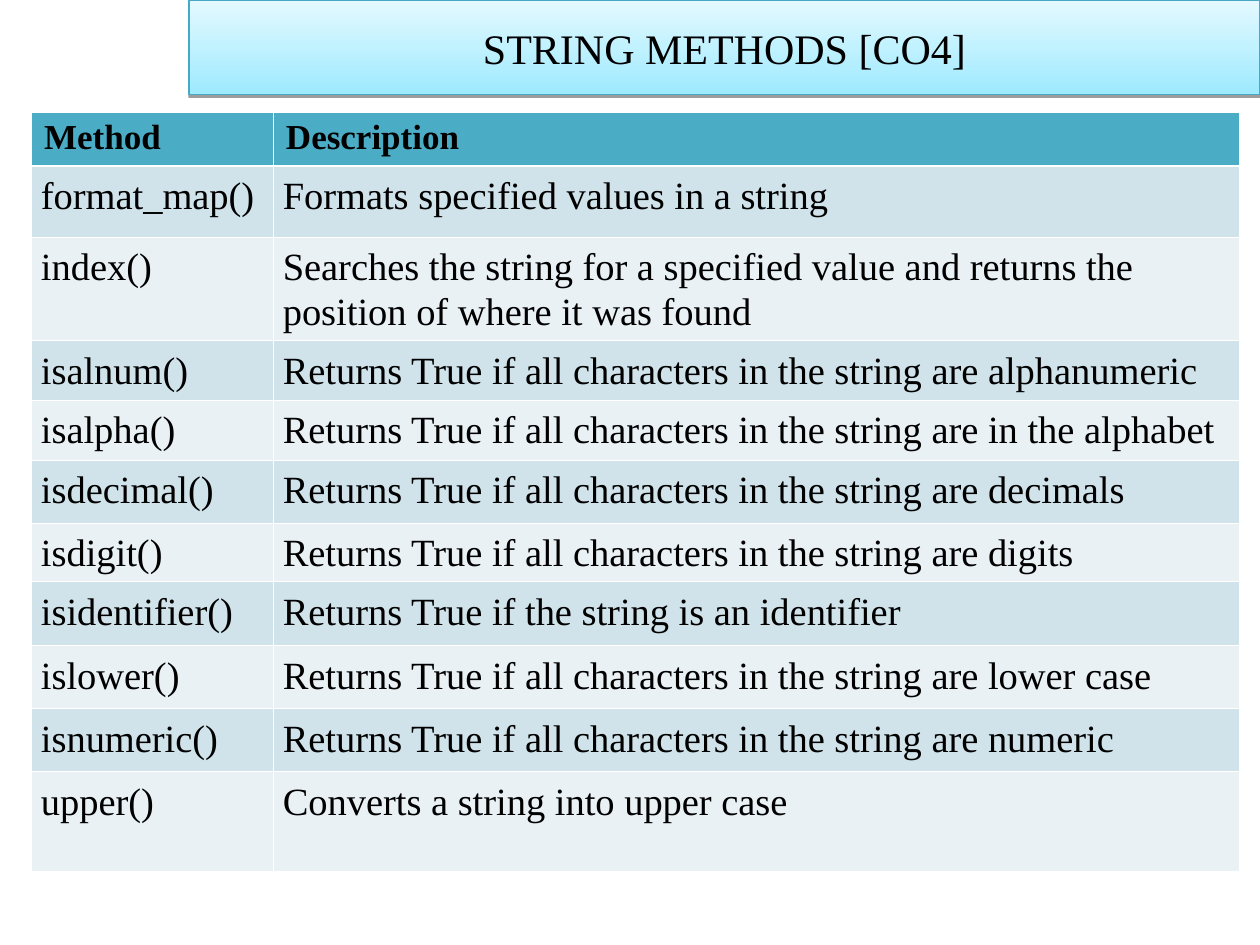
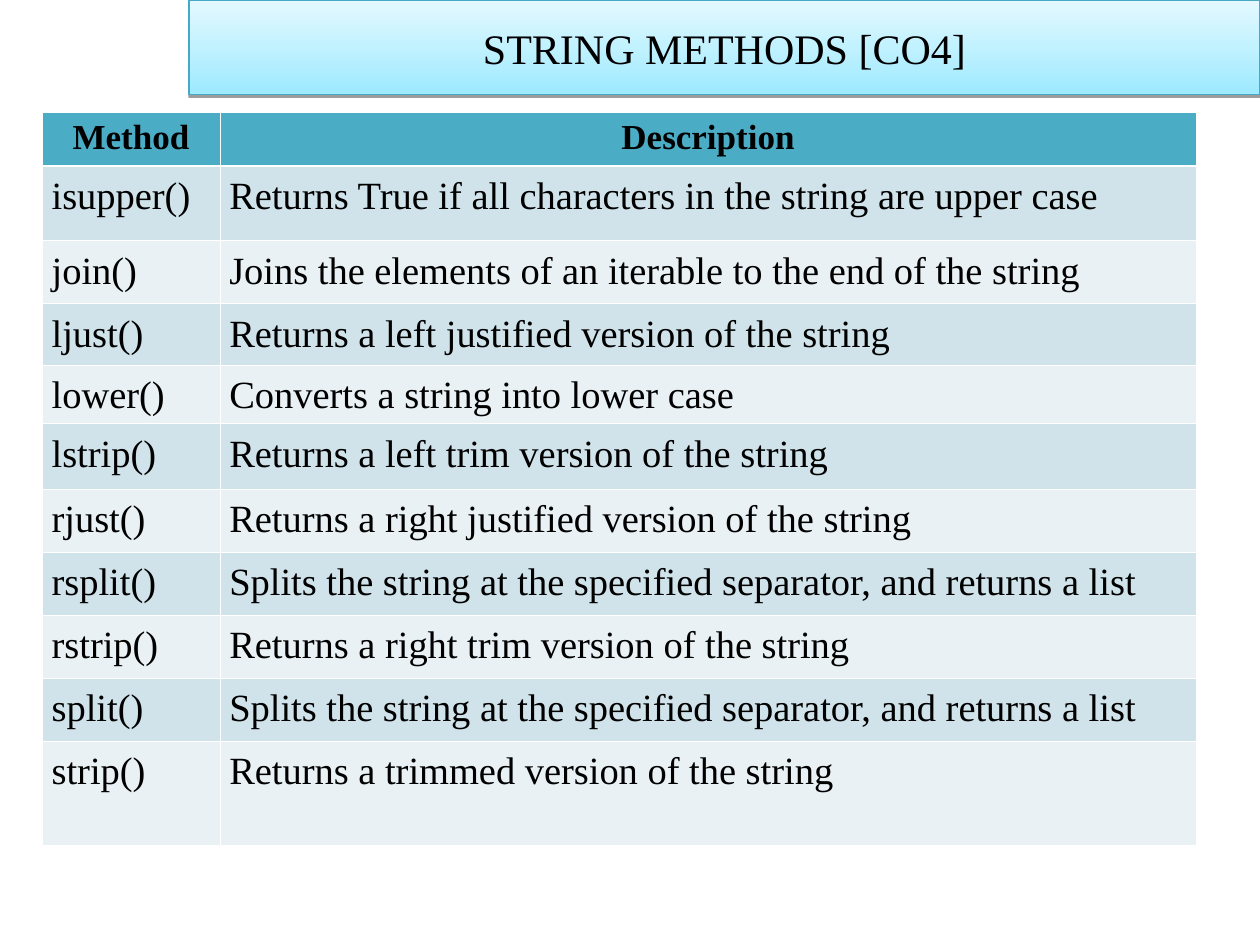
from dataclasses import dataclass

from lxml import etree
from pptx import Presentation, util as u
from pptx.dml.color import RGBColor
from pptx.enum import shapes, text
from pptx.oxml import ns

GRID_COLUMNS, GRID_ROWS = 100, 75
SLIDE_WIDTH, SLIDE_HEIGHT = u.Inches(10), u.Inches(7.5)
FONT = "Times New Roman"
BLACK, WHITE = "000000", "FFFFFF"
HEADER_FILL = "4BACC6"
BAND_FILLS = "E9F1F5", "D0E3EA"
BANNER_LINE, BANNER_BOTTOM, BANNER_TOP = "46AAC5", "9EEAFF", "E4F9FF"
THIN, THICK = 0.45, 1.47
TITLE = "STRING METHODS [CO4]"
HEADINGS = "Method", "Description"
TABLE_TOP = 8.9
HEADER_HEIGHT = 4.3


@dataclass(frozen=True)
class Method:
    name: str
    description: str
    height: float


@dataclass(frozen=True)
class MethodTable:
    left: float
    columns: tuple[float, float]
    heading_align: text.PP_ALIGN
    methods: tuple[Method, ...]


ALL_CHARACTERS = "Returns True if all characters in the string are "
SPLITS = "Splits the string at the specified separator, and returns a list"

TABLES = (
    MethodTable(2.5, (19.2, 76.7), text.PP_ALIGN.LEFT, (
        Method("format_map()", "Formats specified values in a string", 5.6),
        Method("index()", "Searches the string for a specified value and returns "
               "the position of where it was found", 7.8),
        Method("isalnum()", ALL_CHARACTERS + "alphanumeric", 4.7),
        Method("isalpha()", ALL_CHARACTERS + "in the alphabet", 4.8),
        Method("isdecimal()", ALL_CHARACTERS + "decimals", 5),
        Method("isdigit()", ALL_CHARACTERS + "digits", 4.6),
        Method("isidentifier()", "Returns True if the string is an identifier", 5.1),
        Method("islower()", ALL_CHARACTERS + "lower case", 5),
        Method("isnumeric()", ALL_CHARACTERS + "numeric", 5),
        Method("upper()", "Converts a string into upper case", 7.9),
    )),
    MethodTable(3.35, (14.1, 77.5), text.PP_ALIGN.CENTER, (
        Method("isupper()", ALL_CHARACTERS + "upper case", 5.9),
        Method("join()", "Joins the elements of an iterable to the end of the string", 5),
        Method("ljust()", "Returns a left justified version of the string", 4.9),
        Method("lower()", "Converts a string into lower case", 4),
        Method("lstrip()", "Returns a left trim version of the string", 5.2),
        Method("rjust()", "Returns a right justified version of the string", 5),
        Method("rsplit()", SPLITS, 5),
        Method("rstrip()", "Returns a right trim version of the string", 5),
        Method("split()", SPLITS, 5),
        Method("strip()", "Returns a trimmed version of the string", 8.3),
    )),
)


def across(columns: float) -> int:
    return round(SLIDE_WIDTH * columns / GRID_COLUMNS)


def down(rows: float) -> int:
    return round(SLIDE_HEIGHT * rows / GRID_ROWS)


def color(value: str) -> RGBColor:
    return RGBColor.from_string(value)


def add_element(parent, tag: str, **attributes):
    return etree.SubElement(parent, ns.qn(tag), attributes)


def write(paragraph, words: str, size: float, align, bold: bool = False) -> None:
    paragraph.alignment = align
    run = paragraph.add_run()
    run.text = words
    run.font.name = FONT
    run.font.size = u.Pt(size)
    run.font.bold = bold
    run.font.color.rgb = color(BLACK)


def add_banner(slide) -> None:
    banner = slide.shapes.add_shape(shapes.MSO_SHAPE.RECTANGLE, across(15), 0,
                                    across(85), down(7.5))
    banner.fill.gradient()
    banner.fill.gradient_angle = 90
    for stop, shade in zip(banner.fill.gradient_stops, (BANNER_BOTTOM, BANNER_TOP)):
        stop.color.rgb = color(shade)
    banner.line.color.rgb = color(BANNER_LINE)
    banner.line.width = u.Pt(0.75)
    banner.shadow.inherit = False
    effects = banner._element.spPr.find(ns.qn("a:effectLst"))
    shadow = add_element(effects, "a:outerShdw", blurRad="0", dist=str(u.Pt(1.6)),
                         dir="5400000", rotWithShape="0")
    shade = add_element(shadow, "a:srgbClr", val=BLACK)
    add_element(shade, "a:alpha", val="38000")
    banner.text_frame.word_wrap = True
    banner.text_frame.vertical_anchor = text.MSO_ANCHOR.MIDDLE
    write(banner.text_frame.paragraphs[0], TITLE, 24, text.PP_ALIGN.CENTER)


def add_borders(cell, top: float, bottom: float) -> None:
    properties = cell._tc.get_or_add_tcPr()
    for side, width in zip("LRTB", (THIN, THIN, top, bottom)):
        border = add_element(properties, f"a:ln{side}", w=str(u.Pt(width)))
        add_element(add_element(border, "a:solidFill"), "a:srgbClr", val=WHITE)


def fill_cell(cell, words: str, row: int, heading_align) -> None:
    heading = row == 0
    add_borders(cell, THICK if row == 1 else THIN, THICK if heading else THIN)
    cell.fill.solid()
    cell.fill.fore_color.rgb = color(HEADER_FILL if heading else BAND_FILLS[row % 2])
    cell.margin_left = cell.margin_right = across(1 if heading else 0.75)
    cell.margin_top = cell.margin_bottom = down(0.5)
    paragraph = cell.text_frame.paragraphs[0]
    if heading:
        write(paragraph, words, 20, heading_align, bold=True)
    else:
        paragraph.line_spacing = 1.07
        write(paragraph, words, 22, text.PP_ALIGN.LEFT)


def add_method_table(slide, content: MethodTable) -> None:
    entries = [HEADINGS] + [(m.name, m.description) for m in content.methods]
    heights = [HEADER_HEIGHT] + [m.height for m in content.methods]
    grid = slide.shapes.add_table(
        len(entries), len(HEADINGS), across(content.left), down(TABLE_TOP),
        across(sum(content.columns)), down(sum(heights))).table
    for column, width in zip(grid.columns, content.columns):
        column.width = across(width)
    for row, (entry, height) in enumerate(zip(entries, heights)):
        grid.rows[row].height = down(height)
        for column, words in enumerate(entry):
            fill_cell(grid.cell(row, column), words, row, content.heading_align)


def main() -> None:
    deck = Presentation()
    deck.slide_width, deck.slide_height = SLIDE_WIDTH, SLIDE_HEIGHT
    for content in TABLES:
        slide = deck.slides.add_slide(deck.slide_layouts[6])
        add_method_table(slide, content)
        add_banner(slide)
    deck.save("out.pptx")


if __name__ == "__main__":
    main()
